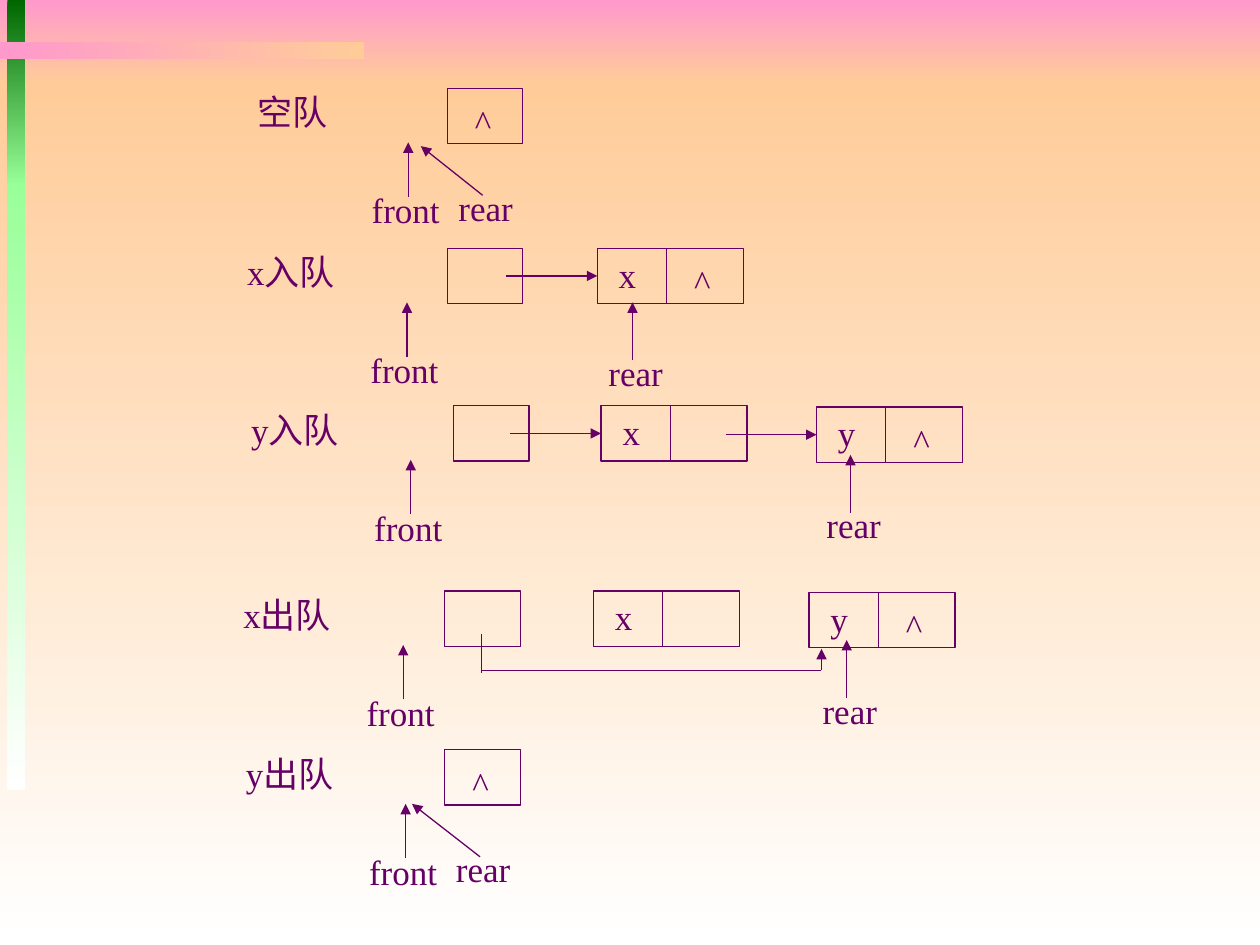
import pptx
import pptx.util
import pptx.dml.color
import pptx.enum.shapes
import pptx.enum.text
from lxml import etree
from pptx.oxml.ns import qn
from pptx.util import Inches

INK = "660066"
CELL_H = 0.44
HEAD_W = 0.6
NODE_W = 1.16
TEXT_H = 0.43

BANDS = [
    (0, 0, 10, 0.67, "FF99CC", "FFCC99", 270),
    (0, 0.67, 10, 6.83, "FFCC99", "FFFFFF", 270),
    (0.06, 0, 0.14, 1.48, "006600", "99FF99", 270),
    (0.06, 1.46, 0.14, 4.81, "99FF99", "FFFFFF", 270),
    (0, 0.33, 2.89, 0.14, "FF99CC", "FFCC99", 0),
]

STATES = [
    dict(label="空队", left=2.85, top=0.7, head=3.55, nodes=[], rear_tip=3.34),
    dict(label="x入队", left=2.84, top=1.97, head=3.55, nodes=["x"],
         linked=True, rear=(5.02, 2.4)),
    dict(label="y入队", left=2.87, top=3.22, head=3.6, nodes=["x", "y"],
         linked=True, rear=(6.75, 3.61)),
    dict(label="x出队", left=2.81, top=4.69, head=3.53, nodes=["x", "y"],
         linked=False, rear=(6.72, 5.08)),
    dict(label="y出队", left=2.83, top=5.95, head=3.53, nodes=[], rear_tip=3.27),
]

presentation = pptx.Presentation()
presentation.slide_width = Inches(10)
presentation.slide_height = Inches(7.5)
slide = presentation.slides.add_slide(presentation.slide_layouts[6])


def color(value):
    return pptx.dml.color.RGBColor.from_string(value)


def add_rect(left, top, width, height):
    rect = slide.shapes.add_shape(
        pptx.enum.shapes.MSO_SHAPE.RECTANGLE,
        Inches(left), Inches(top), Inches(width), Inches(height))
    rect.shadow.inherit = False
    return rect


def add_band(left, top, width, height, start, end, angle):
    band = add_rect(left, top, width, height)
    band.line.fill.background()
    band.fill.gradient()
    band.fill.gradient_angle = angle
    for stop, value in zip(band.fill.gradient_stops, (start, end)):
        stop.color.rgb = color(value)


def add_cell(left, top, width):
    cell = add_rect(left, top, width, CELL_H)
    cell.fill.background()
    cell.line.color.rgb = color(INK)
    cell.line.width = pptx.util.Pt(0.75)
    return cell


def add_line(x1, y1, x2, y2, arrow=True):
    line = slide.shapes.add_connector(
        pptx.enum.shapes.MSO_CONNECTOR.STRAIGHT,
        Inches(x1), Inches(y1), Inches(x2), Inches(y2))
    line.line.color.rgb = color(INK)
    line.line.width = pptx.util.Pt(0.75)
    if arrow:
        etree.SubElement(line.line._get_or_add_ln(), qn("a:tailEnd"), type="triangle")
    etree.SubElement(line._element.spPr, qn("a:effectLst"))
    return line


def add_text(text, left, top, width, wrap=False):
    box = slide.shapes.add_textbox(
        Inches(left), Inches(top), Inches(width), Inches(TEXT_H))
    frame = box.text_frame
    frame.word_wrap = wrap
    frame.vertical_anchor = pptx.enum.text.MSO_ANCHOR.MIDDLE
    paragraph = frame.paragraphs[0]
    paragraph.text = text
    paragraph.alignment = pptx.enum.text.PP_ALIGN.CENTER
    paragraph.font.size = pptx.util.Pt(20)
    paragraph.font.name = "Times New Roman"
    paragraph.font.color.rgb = color(INK)


def add_node(letter, left, top, last):
    node = add_cell(left, top, NODE_W)
    add_line(left + 0.55, top, left + 0.55, top + CELL_H, arrow=False)
    add_text(letter, left + 0.07, top - 0.01, 0.34)
    if last:
        add_text("^", left + 0.67, top + 0.05, 0.33)
    return node


def add_bypass(start, target, top):
    turn = top + 0.63
    add_line(start, top + 0.34, start, turn + 0.02, arrow=False)
    add_line(start, turn, target, turn, arrow=False)
    add_line(target, turn, target, top + 0.46)


def add_state(label, left, top, head, nodes, linked=False, rear=None, rear_tip=None):
    add_text(label, left - 0.98, top - 0.03, 0.9, wrap=len(label) > 2)
    add_cell(head, top, HEAD_W)
    add_text("front", left, top + 0.75, 0.74)
    add_line(left + 0.39, top + 0.86, left + 0.39, top + 0.43)

    for index, letter in enumerate(nodes):
        node_left = left + 1.9 + 1.71 * index
        node_top = top + 0.01 * index
        node = add_node(letter, node_left, node_top, index == len(nodes) - 1)
        if linked:
            middle = node_top + CELL_H / 2
            link = add_line(node_left - 0.72, middle, node_left, middle)
            link.end_connect(node, 1)
    if nodes and not linked:
        add_bypass(head + 0.29, node_left + 0.1, top)

    if nodes:
        rear_x, rear_y = rear
        add_line(rear_x, rear_y + 0.46, rear_x, rear_y)
        add_text("rear", rear_x - 0.29, rear_y + 0.34, 0.63)
    else:
        add_text("^", head + 0.12, top + 0.05, 0.33)
        add_line(left + 0.98, top + 0.85, rear_tip, top + 0.46 - (rear_tip < 3.3) * 0.03)
        add_text("rear", left + 0.69, top + 0.73, 0.63)


for band in BANDS:
    add_band(*band)
for state in STATES:
    add_state(**state)

presentation.save("out.pptx")
